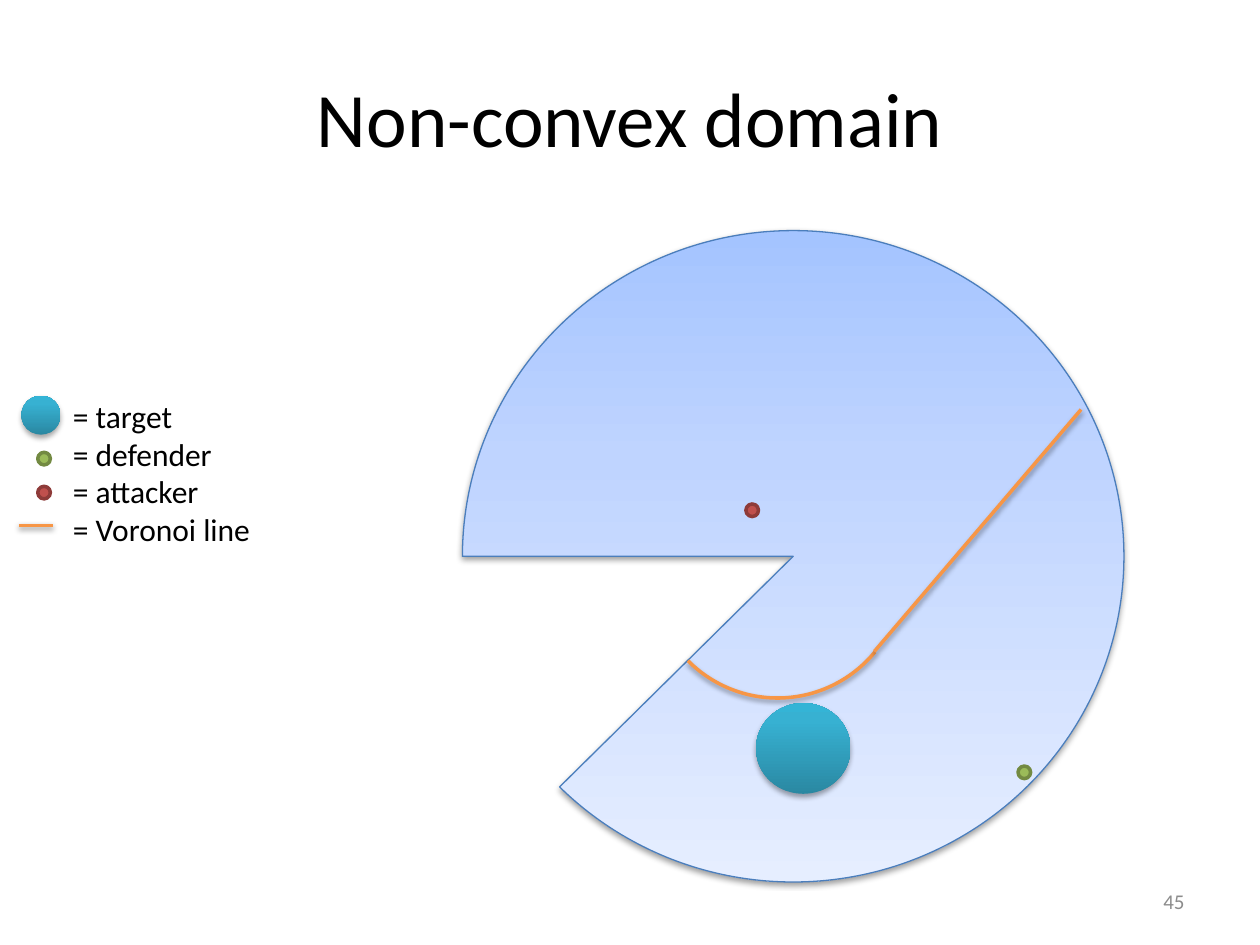
from lxml.etree import SubElement
from pptx import Presentation
from pptx.dml.color import RGBColor
from pptx.enum.shapes import MSO_CONNECTOR, MSO_SHAPE
from pptx.enum.text import MSO_ANCHOR, PP_ALIGN
from pptx.oxml.ns import qn
from pptx.util import Inches, Pt

COLORS = {
    "text": "000000", "number": "8C8C8C", "voronoi": "F79646", "domain_edge": "4B7EBC",
    "defender": "9BBB59", "defender_edge": "738A42",
    "attacker": "C0504D", "attacker_edge": "8E3B39",
}
GRADIENTS = {
    "target": [(0, "2A88A2"), (80, "37B1D2"), (100, "34B4D6")],
    "domain": [(0, "A4C4FF"), (35, "BFD4FF"), (100, "E6EEFF")],
}
LINE_SHADOW = {"alpha": 38, "dist": 1.6}
TARGET_SHADOW = {"alpha": 35, "dist": 1.8}
DOT = 0.1


def style(item, edge=None, width=2, fill=None, gradient=None, shadow=None):
    """Set the outline, fill and shadow of a shape or connector."""
    properties = item._element.spPr
    if edge:
        item.line.color.rgb = RGBColor.from_string(COLORS[edge])
        item.line.width = Pt(width)
    else:
        item.line.fill.background()
    if fill:
        item.fill.solid()
        item.fill.fore_color.rgb = RGBColor.from_string(COLORS[fill])
    elif gradient:
        item.fill.gradient()
        item.fill.gradient_angle = 90
        stops = properties.find(qn("a:gradFill")).find(qn("a:gsLst"))
        for old_stop in list(stops):
            stops.remove(old_stop)
        for position, color in GRADIENTS[gradient]:
            stop = SubElement(stops, qn("a:gs"), pos=str(position * 1000))
            SubElement(stop, qn("a:srgbClr"), val=color)
    elif hasattr(item, "fill"):
        item.fill.background()
    effects = SubElement(properties, qn("a:effectLst"))
    if shadow:
        outer = SubElement(effects, qn("a:outerShdw"), blurRad=str(Pt(3.1)),
                           dist=str(Pt(shadow["dist"])), dir="5400000", rotWithShape="0")
        black = SubElement(outer, qn("a:srgbClr"), val="000000")
        SubElement(black, qn("a:alpha"), val=str(shadow["alpha"] * 1000))


def write(box, lines, size, color, align, anchor):
    """Fill a text frame with one paragraph per line."""
    frame = box.text_frame
    frame.word_wrap = True
    frame.vertical_anchor = anchor
    frame.text = "\n".join(lines)
    font_format = {"name": "Calibri", "size": Pt(size)}
    for paragraph in frame.paragraphs:
        paragraph.alignment = align
        for attribute, value in font_format.items():
            setattr(paragraph.font, attribute, value)
        paragraph.font.color.rgb = RGBColor.from_string(COLORS[color])


presentation = Presentation()
presentation.slide_width, presentation.slide_height = Inches(10), Inches(7.5)
slide = presentation.slides.add_slide(presentation.slide_layouts[5])
shapes = slide.shapes

# Title
title = shapes.title
title.left, title.top, title.width, title.height = map(Inches, (0.5, 0.3, 9, 1.25))
write(title, ["Non-convex domain"], 44, "text", PP_ALIGN.CENTER, MSO_ANCHOR.MIDDLE)

# Legend labels
legend = shapes.add_textbox(Inches(0.48), Inches(3.1), Inches(1.65), Inches(1.31))
write(legend, ["= target", "= defender", "= attacker", "= Voronoi line"],
      18, "text", PP_ALIGN.LEFT, MSO_ANCHOR.TOP)

# Domain with its notch, and the curved part of the Voronoi line
domain = shapes.add_shape(MSO_SHAPE.PIE, Inches(3.67), Inches(1.83), Inches(5.25), Inches(5.17))
domain.rotation = 180
domain.adjustments[0], domain.adjustments[1] = 0, 189.22
style(domain, "domain_edge", 0.75, gradient="domain", shadow=LINE_SHADOW)

voronoi_curve = shapes.add_shape(MSO_SHAPE.ARC, Inches(5.17), Inches(3.54), Inches(2), Inches(2))
voronoi_curve.rotation = 132
voronoi_curve.adjustments[0], voronoi_curve.adjustments[1] = 160.37, 1.96
style(voronoi_curve, "voronoi", shadow=LINE_SHADOW)

# Straight Voronoi lines: legend key, then domain
for ends in [(0.15, 4.17, 0.42, 4.17), (6.94, 5.17, 8.58, 3.25)]:
    voronoi_line = shapes.add_connector(MSO_CONNECTOR.STRAIGHT, *map(Inches, ends))
    style(voronoi_line, "voronoi", shadow=LINE_SHADOW)

# Targets: legend key, then domain
for place in [(0.17, 3.14, 0.31, 0.31), (6, 5.58, 0.75, 0.72)]:
    target = shapes.add_shape(MSO_SHAPE.OVAL, *map(Inches, place))
    style(target, gradient="target", shadow=TARGET_SHADOW)

# Players: legend keys, then domain
for role, left, top in [("defender", 0.3, 3.59), ("attacker", 0.3, 3.86),
                        ("defender", 8.08, 6.08), ("attacker", 5.92, 4)]:
    player = shapes.add_shape(MSO_SHAPE.OVAL, Inches(left), Inches(top), Inches(DOT), Inches(DOT))
    style(player, f"{role}_edge", fill=role)

# Slide number
number = shapes.add_textbox(Inches(7.17), Inches(6.95), Inches(2.33), Inches(0.4))
write(number, ["45"], 12, "number", PP_ALIGN.RIGHT, MSO_ANCHOR.MIDDLE)

presentation.save("out.pptx")
